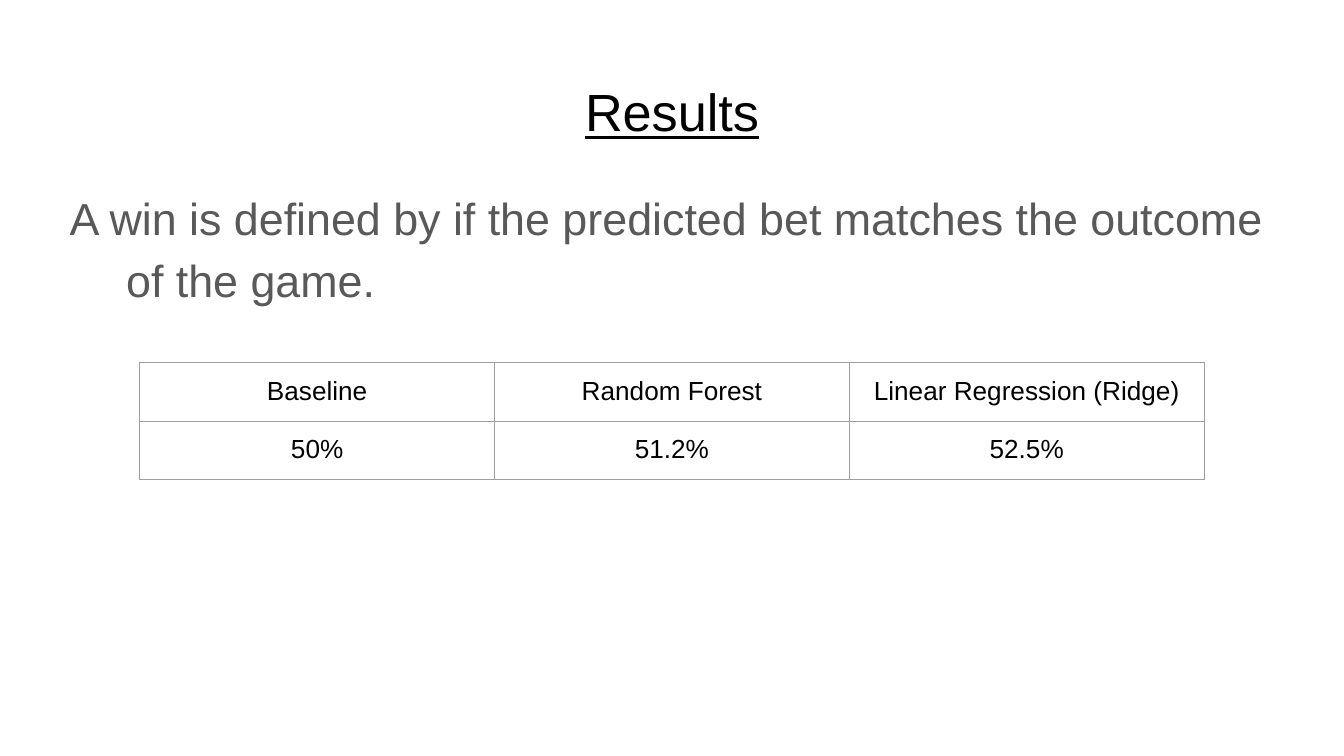
"""Build the results slide with a heading, a definition and a score table."""
import pptx
import pptx.dml.color
import pptx.enum.text
import pptx.oxml
import pptx.oxml.ns
import pptx.util

Inches = pptx.util.Inches
Pt = pptx.util.Pt
ALIGN = pptx.enum.text.PP_ALIGN
INK, GRAY, RULE = "000000", "595959", "9E9E9E"
SCORES = [
    ("Baseline", "Random Forest", "Linear Regression (Ridge)"),
    ("50%", "51.2%", "52.5%"),
]


def color(code):
    return pptx.dml.color.RGBColor.from_string(code)


def pad(item):
    item.margin_left = item.margin_right = Inches(0.1)
    item.margin_top = item.margin_bottom = Inches(0.1)


def write(frame, text, size, ink=INK, align=ALIGN.CENTER, under=None,
          lead=1.0, after=0):
    para = frame.paragraphs[0]
    para.alignment, para.line_spacing = align, lead
    para.space_before, para.space_after = Pt(0), Pt(after)
    run = para.add_run()
    run.text = text
    font = run.font
    font.name, font.size, font.underline = "Arial", Pt(size), under
    font.color.rgb = color(ink)
    return para


def add_text(slide, top, height, text, size, **style):
    frame = slide.shapes.add_textbox(
        Inches(0.34), Inches(top), Inches(9.32), Inches(height)).text_frame
    frame.word_wrap = True
    pad(frame)
    return write(frame, text, size, **style)


def hang(para, left, first):
    props = para._p.get_or_add_pPr()
    props.set("marL", str(Inches(left)))
    props.set("indent", str(Inches(first)))


def border(cell, code, width):
    props = cell._tc.get_or_add_tcPr()
    for side in "LRTB":
        props.append(pptx.oxml.parse_xml(
            f'<a:ln{side} {pptx.oxml.ns.nsdecls("a")} w="{Pt(width)}">'
            f'<a:solidFill><a:srgbClr val="{code}"/></a:solidFill>'
            f'</a:ln{side}>'))


def add_grid(slide, rows, left, top, side, wide, high):
    shape = slide.shapes.add_table(
        len(rows), len(rows[0]), Inches(left), Inches(top),
        Inches(side), Inches(side))
    table = shape.table
    table.first_row = table.horz_banding = False
    for col in table.columns:
        col.width = Inches(wide)
    for line in table.rows:
        line.height = Inches(high)
    shape.width = shape.height = Inches(side)
    for r, row in enumerate(rows):
        for c, text in enumerate(row):
            cell = table.cell(r, c)
            write(cell.text_frame, text, 14)
            pad(cell)
            border(cell, RULE, 0.75)
            cell.fill.background()


def main():
    deck = pptx.Presentation()
    deck.slide_width = Inches(10)
    deck.slide_height = deck.slide_width * 9 // 16
    slide = deck.slides.add_slide(deck.slide_layouts[6])
    add_text(slide, 0.49, 0.63, "Results", 28, under=True)
    para = add_text(
        slide, 1.26, 1.38,
        "A win is defined by if the predicted bet matches "
        "the outcome of the game.",
        24, ink=GRAY, align=ALIGN.LEFT, lead=1.15, after=16)
    hang(para, 0.5, -0.42)
    add_grid(slide, SCORES, 1.04, 2.7, 3.28, 2.64, 0.42)
    deck.save("out.pptx")


if __name__ == "__main__":
    main()
